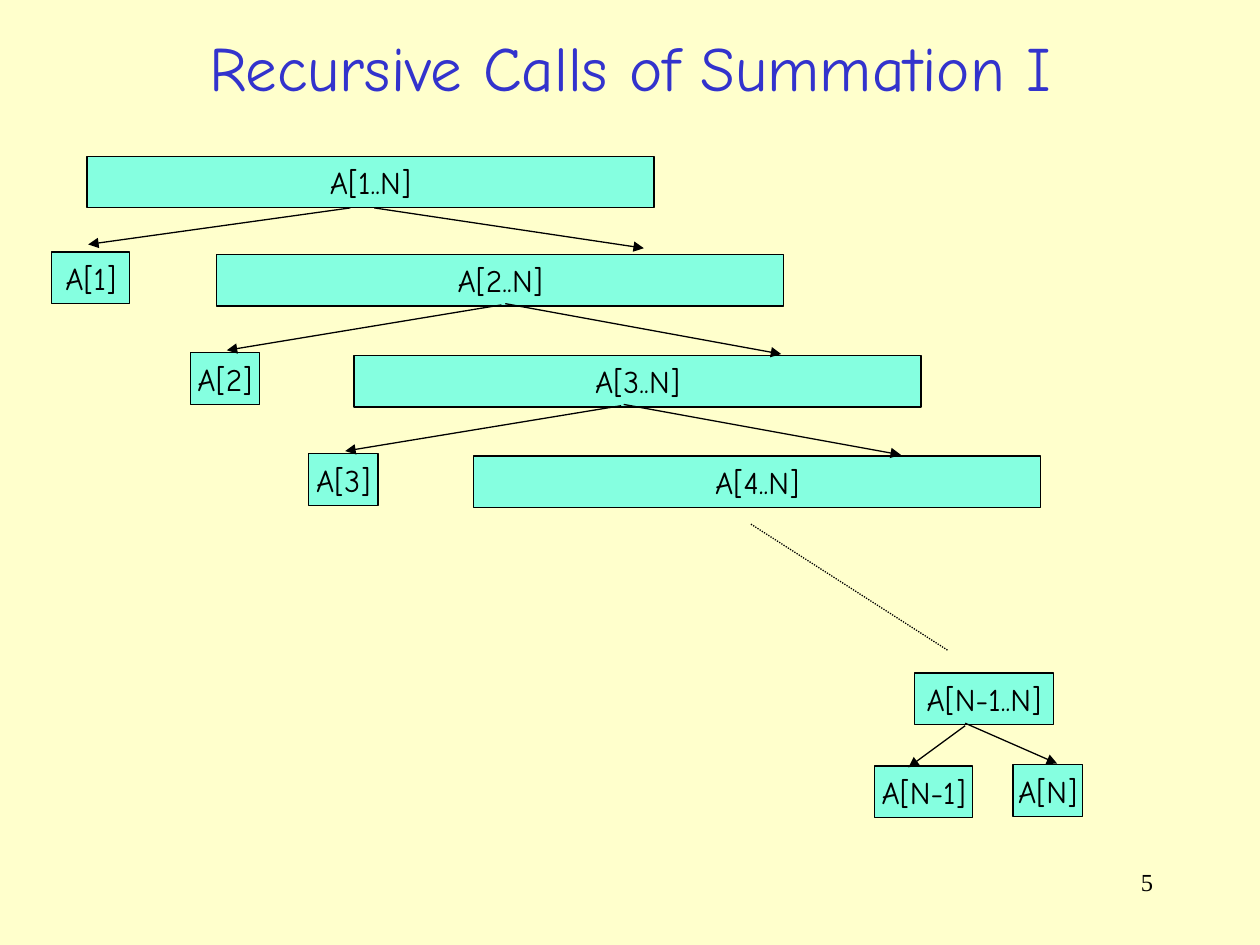
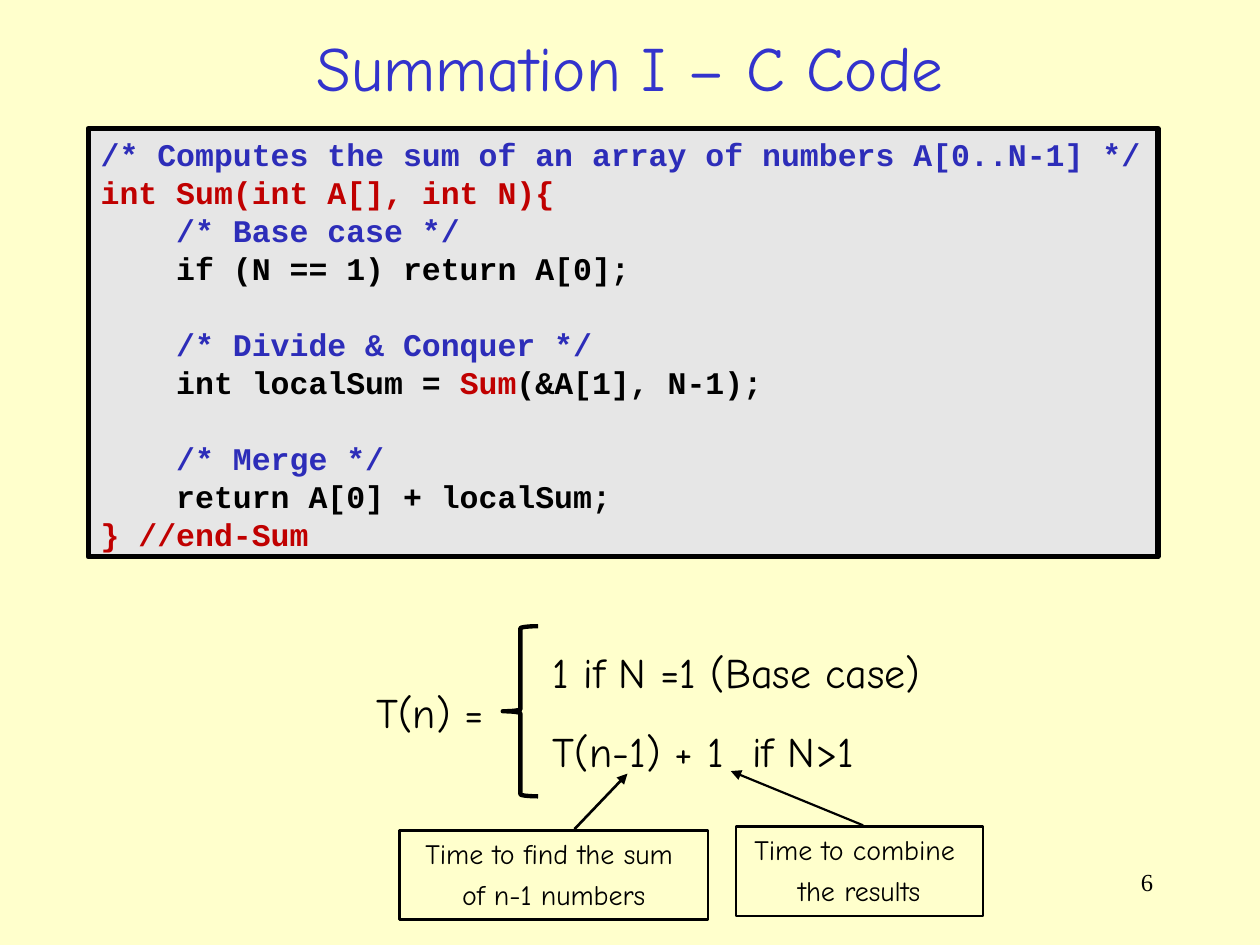
from dataclasses import dataclass

from lxml.etree import SubElement
from pptx import Presentation
from pptx.dml.color import RGBColor as RGB
from pptx.enum.dml import MSO_LINE as Dash
from pptx.enum.shapes import MSO_CONNECTOR as Wire, MSO_SHAPE as Form
from pptx.enum.text import MSO_ANCHOR as Anchor, MSO_AUTO_SIZE as Fit, PP_ALIGN as Align
from pptx.oxml.ns import qn
from pptx.presentation import Presentation as Deck
from pptx.shapes.autoshape import Shape
from pptx.slide import Slide
from pptx.text.text import TextFrame
from pptx.util import Inches, Pt


# Colours, fonts and sizes shared by both slides
@dataclass(frozen=True)
class Theme:
    paper: str = "FFFFCC"
    title: str = "3333CC"
    ink: str = "000000"
    node: str = "85FFE0"
    panel: str = "E6E6E6"
    remark: str = "2D2DB9"
    accent: str = "C00000"
    hand: str = "Comic Neue"
    mono: str = "Courier New"
    serif: str = "Times New Roman"
    head: float = 36
    math: float = 24
    body: float = 18
    note: float = 16
    page: float = 14
    pitch: float = 21.7


T = Theme()


@dataclass(frozen=True)
class Style:
    size: float = T.body
    font: str = T.hand
    color: str = T.ink
    bold: bool = False


@dataclass(frozen=True)
class Box:
    left: float
    top: float
    width: float
    height: float


@dataclass(frozen=True)
class Level:
    left: float
    top: float
    leaf: float = 0
    wide: float = 0.55


@dataclass(frozen=True)
class Arrow:
    x1: float
    y1: float
    x2: float
    y2: float
    weight: float = 0.75
    dotted: bool = False


@dataclass(frozen=True)
class Note:
    box: Box
    lines: tuple[str, str]
    arrow: Arrow


@dataclass(frozen=True)
class Line:
    words: tuple[tuple[str, str], ...]
    gap: bool = False


# Recursion tree
WIDE, TALL = 4.5, 0.41
LEVELS = [
    Level(0.69, 1.24, 0.41, 0.62),
    Level(1.72, 2.02, 1.51),
    Level(2.81, 2.82, 2.45),
    Level(3.76, 3.62),
]
ENDS = {
    "A[N-1..N]": Box(7.26, 5.34, 1.1, TALL),
    "A[N-1]": Box(6.94, 6.08, 0.78, TALL),
    "A[N]": Box(8.04, 6.07, 0.55, TALL),
}
CALLS = [
    Arrow(2.78, 1.65, 0.7, 1.94),
    Arrow(2.97, 1.65, 5.11, 1.97),
    Arrow(3.98, 2.42, 1.8, 2.78),
    Arrow(4.01, 2.41, 6.2, 2.81),
    Arrow(4.93, 3.22, 2.74, 3.58),
    Arrow(4.95, 3.21, 7.15, 3.61),
    Arrow(7.66, 5.76, 7.21, 6.09),
    Arrow(7.66, 5.74, 8.39, 6.06),
    Arrow(5.96, 4.16, 7.52, 5.16, dotted=True),
]

# Code listing
CODE = [
    Line((("/* Computes the sum of an array of numbers A[0..N-1] */", T.remark),)),
    Line((("int Sum(int A[], int N){", T.accent),)),
    Line((("    /* Base case */", T.remark),)),
    Line((("    if (N == 1) return A[0];", T.ink),)),
    Line((("    /* Divide & Conquer */", T.remark),), gap=True),
    Line((("    int localSum = ", T.ink), ("Sum", T.accent), ("(&A[1], N-1);", T.ink))),
    Line((("    /* Merge */", T.remark),), gap=True),
    Line((("    return A[0] + localSum;", T.ink),)),
    Line((("} //end-Sum", T.accent),)),
]

# Recurrence and its remarks
TERMS = {
    "T(n) =": Box(2.89, 5.4, 1.19, 0.54),
    "1 if N =1 (Base case)": Box(4.29, 5.08, 3.53, 0.54),
    "T(n-1) + 1  if N>1": Box(4.29, 5.71, 3.03, 0.54),
}
NOTES = [
    Note(Box(5.84, 6.56, 1.96, 0.71), ("Time to combine ", "the results"),
         Arrow(6.85, 6.55, 5.8, 6.12, 1.25)),
    Note(Box(3.17, 6.59, 2.45, 0.71), ("Time to find the sum ", "of n-1 numbers"),
         Arrow(4.56, 6.58, 4.98, 6.14, 1.5)),
]


def place(box: Box) -> tuple[Inches, ...]:
    return tuple(Inches(v) for v in (box.left, box.top, box.width, box.height))


def para(frame: TextFrame, first: bool):
    return frame.paragraphs[0] if first else frame.add_paragraph()


def add_run(row, text: str, style: Style) -> None:
    run = row.add_run()
    run.text = text
    font = run.font
    font.name, font.size, font.bold = style.font, Pt(style.size), style.bold
    font.color.rgb = RGB.from_string(style.color)


def add_text(slide: Slide, box: Box, text: str, style: Style, align=Align.LEFT) -> None:
    frame = slide.shapes.add_textbox(*place(box)).text_frame
    frame.word_wrap = True
    row = frame.paragraphs[0]
    row.alignment = align
    add_run(row, text, style)


def add_form(slide: Slide, box: Box, weight: float, fill: str = "", form=Form.RECTANGLE) -> Shape:
    shape = slide.shapes.add_shape(form, *place(box))
    shape.shadow.inherit = False
    if fill:
        shape.fill.solid()
        shape.fill.fore_color.rgb = RGB.from_string(fill)
    else:
        shape.fill.background()
    shape.line.color.rgb = RGB.from_string(T.ink)
    shape.line.width = Pt(weight)
    return shape


def add_node(slide: Slide, box: Box, label: str) -> None:
    frame = add_form(slide, box, 0.75, T.node).text_frame
    frame.word_wrap = False
    frame.vertical_anchor = Anchor.MIDDLE
    row = frame.paragraphs[0]
    row.alignment = Align.CENTER
    add_run(row, label, Style())


def add_arrow(slide: Slide, arrow: Arrow) -> None:
    points = (Inches(v) for v in (arrow.x1, arrow.y1, arrow.x2, arrow.y2))
    wire = slide.shapes.add_connector(Wire.STRAIGHT, *points)
    wire.line.color.rgb = RGB.from_string(T.ink)
    wire.line.width = Pt(arrow.weight)
    props = wire.element.spPr
    if arrow.dotted:
        wire.line.dash_style = Dash.ROUND_DOT
    else:
        SubElement(props.find(qn("a:ln")), qn("a:tailEnd"), type="triangle")
    SubElement(props, qn("a:effectLst"))


def add_note(slide: Slide, note: Note) -> None:
    frame = add_form(slide, note.box, note.arrow.weight).text_frame
    frame.word_wrap = True
    frame.vertical_anchor = Anchor.TOP
    for i, text in enumerate(note.lines):
        row = para(frame, i == 0)
        row.alignment = Align.CENTER
        if i:
            row.space_before = Pt(4)
        add_run(row, text, Style(T.note))
    add_arrow(slide, note.arrow)


def add_code(slide: Slide, box: Box) -> None:
    frame = add_form(slide, box, 3, T.panel).text_frame
    frame.word_wrap = True
    frame.vertical_anchor = Anchor.TOP
    for i, line in enumerate(CODE):
        row = para(frame, i == 0)
        row.alignment = Align.LEFT
        row.line_spacing = Pt(T.pitch)
        if line.gap:
            row.space_before = Pt(T.pitch)
        for text, color in line.words:
            add_run(row, text, Style(T.body, T.mono, color, True))


# Title and page number, the same on each slide
def new_slide(deck: Deck, title: str, width: float, page: int) -> Slide:
    slide = deck.slides.add_slide(deck.slide_layouts.get_by_name("Title Only"))
    head = slide.shapes.title
    box = Box((10 - width) / 2, 0.15, width, 0.76)
    head.left, head.top, head.width, head.height = place(box)
    frame = head.text_frame
    frame.auto_size = Fit.NONE
    frame.vertical_anchor = Anchor.MIDDLE
    row = frame.paragraphs[0]
    row.alignment = Align.CENTER
    add_run(row, title, Style(T.head, T.hand, T.title))
    add_text(slide, Box(7.17, 6.83, 2.08, 0.5), str(page), Style(T.page, T.serif), Align.RIGHT)
    return slide


def tree_slide(deck: Deck) -> None:
    slide = new_slide(deck, "Recursive Calls of Summation I", 9.33, 5)
    for n, level in enumerate(LEVELS, 1):
        add_node(slide, Box(level.left, level.top, WIDE, TALL), f"A[{n}..N]")
        if level.leaf:
            below = LEVELS[n].top - 0.02
            add_node(slide, Box(level.leaf, below, level.wide, TALL), f"A[{n}]")
    for label, box in ENDS.items():
        add_node(slide, box, label)
    for call in CALLS:
        add_arrow(slide, call)


def code_slide(deck: Deck) -> None:
    slide = new_slide(deck, "Summation I – C Code", 9.67, 6)
    add_code(slide, Box(0.7, 1.02, 8.49, 3.4))
    brace = add_form(slide, Box(3.99, 4.97, 0.28, 1.35), 2.5, form=Form.LEFT_BRACE)
    brace.adjustments[0] = 0.06
    for text, box in TERMS.items():
        add_text(slide, box, text, Style(T.math))
    for note in NOTES:
        add_note(slide, note)


def main() -> None:
    deck = Presentation()
    deck.slide_width, deck.slide_height = Inches(10), Inches(7.5)
    fill = deck.slide_master.background.fill
    fill.solid()
    fill.fore_color.rgb = RGB.from_string(T.paper)
    tree_slide(deck)
    code_slide(deck)
    deck.save("out.pptx")


if __name__ == "__main__":
    main()
